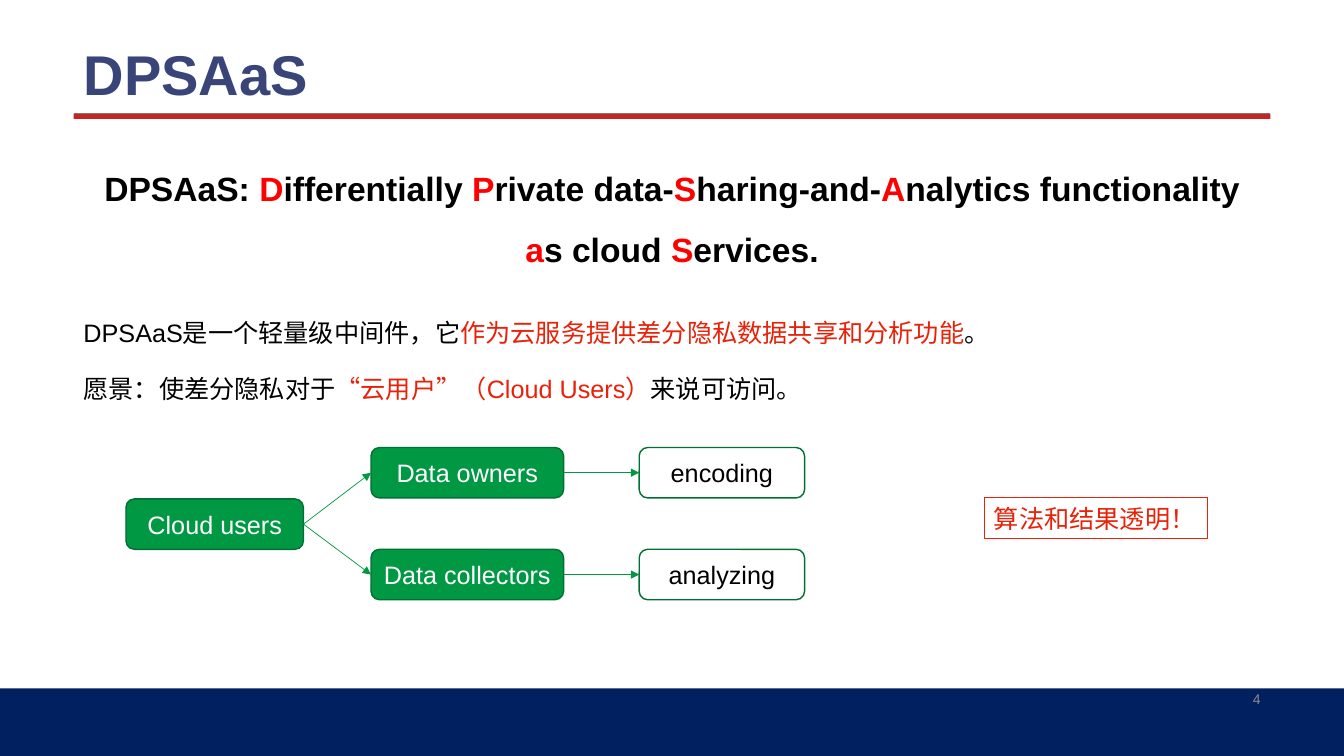
from lxml import etree
from pptx import Presentation
from pptx.dml.color import RGBColor
from pptx.enum.shapes import MSO_CONNECTOR, MSO_SHAPE
from pptx.enum.text import MSO_ANCHOR, PP_ALIGN
from pptx.oxml.ns import qn
from pptx.util import Inches, Pt

LEFT, CENTER, RIGHT = PP_ALIGN.LEFT, PP_ALIGN.CENTER, PP_ALIGN.RIGHT
MIDDLE, BOTTOM = MSO_ANCHOR.MIDDLE, MSO_ANCHOR.BOTTOM
RECT, ROUNDED = MSO_SHAPE.RECTANGLE, MSO_SHAPE.ROUNDED_RECTANGLE
STRAIGHT = MSO_CONNECTOR.STRAIGHT

NAVY = RGBColor(0x00, 0x20, 0x60)
RULE_RED = RGBColor(0xC4, 0x25, 0x1F)
TITLE_BLUE = RGBColor(0x39, 0x44, 0x79)
GREEN = RGBColor(0x01, 0x98, 0x44)
DARK_GREEN = RGBColor(0x01, 0x70, 0x32)
RED = RGBColor(0xFF, 0x00, 0x00)
ORANGE_RED = RGBColor(0xE8, 0x22, 0x09)
GRAY = RGBColor(0x80, 0x80, 0x80)
LIGHT_GRAY = RGBColor(0x8C, 0x8C, 0x8C)
BLACK = RGBColor(0x00, 0x00, 0x00)
WHITE = RGBColor(0xFF, 0xFF, 0xFF)

MARGIN, CONTENT_W = 0.73, 11.87


def write(s, parts, size, align=LEFT, anchor=None, spacing=None, bold=False, wrap=True):
    """Fill the shape's paragraph with (text, colour) runs."""
    tf = s.text_frame
    tf.word_wrap = wrap
    if anchor is not None:
        tf.vertical_anchor = anchor
    p = tf.paragraphs[0]
    p.alignment = align
    p.line_spacing = spacing
    for text, color in parts:
        r = p.add_run()
        r.text = text
        r.font.name = "Arial"
        r.font.size = Pt(size)
        r.font.bold = bold
        r.font.color.rgb = color


def add_line(x1, y1, x2, y2, color, width):
    line = slide.shapes.add_connector(STRAIGHT, Inches(x1), Inches(y1), Inches(x2), Inches(y2))
    line.line.color.rgb = color
    line.line.width = Pt(width)
    etree.SubElement(line._element.spPr, qn("a:effectLst"))
    return line


prs = Presentation()
prs.slide_width, prs.slide_height = Inches(13.33), Inches(7.5)
slide = prs.slides.add_slide(prs.slide_layouts[5])

# Title, rule and footer band
title = slide.shapes.title
title.left, title.top = Inches(MARGIN), Inches(0)
title.width, title.height = Inches(CONTENT_W), Inches(1.12)
write(title, [("DPSAaS", TITLE_BLUE)], 40, anchor=BOTTOM, spacing=0.9, bold=True)

add_line(MARGIN, 1.12, MARGIN + CONTENT_W, 1.12, GRAY, 0.25)
for x, y, w, h, color in [
    (0, 6.83, 13.33, 0.67, NAVY),
    (MARGIN, 1.13, CONTENT_W, 0.05, RULE_RED),
]:
    s = slide.shapes.add_shape(RECT, Inches(x), Inches(y), Inches(w), Inches(h))
    s.shadow.inherit = False
    s.fill.solid()
    s.fill.fore_color.rgb = color
    s.line.fill.background()

# Text blocks
heading = [
    ("DPSAaS: ", BLACK), ("D", RED), ("ifferentially ", BLACK), ("P", RED),
    ("rivate data-", BLACK), ("S", RED), ("haring-and-", BLACK), ("A", RED),
    ("nalytics functionality ", BLACK), ("a", RED), ("s cloud ", BLACK),
    ("S", RED), ("ervices.", BLACK),
]
summary = [
    ("DPSAaS是一个轻量级中间件，它", BLACK),
    ("作为云服务提供差分隐私数据共享和分析功能", ORANGE_RED),
    ("。", BLACK),
]
vision = [
    ("愿景：使差分隐私对于", BLACK),
    ("“云用户”（Cloud Users）", ORANGE_RED),
    ("来说可访问。", BLACK),
]
for x, y, w, h, parts, size, options in [
    (MARGIN, 1.42, CONTENT_W, 1.24, heading, 24, dict(align=CENTER, spacing=1.5, bold=True)),
    (MARGIN, 2.95, CONTENT_W, 0.5, summary, 18, dict(spacing=1.5)),
    (MARGIN, 3.65, 7.4, 0.4, vision, 18, dict(wrap=False)),
    (9.42, 6.82, 3.18, 0.23, [("4", LIGHT_GRAY)], 10, dict(align=RIGHT, anchor=MIDDLE)),
]:
    s = slide.shapes.add_textbox(Inches(x), Inches(y), Inches(w), Inches(h))
    write(s, parts, size, **options)

note = slide.shapes.add_textbox(Inches(9.76), Inches(4.94), Inches(2.22), Inches(0.4))
note.line.color.rgb = ORANGE_RED
note.line.width = Pt(0.75)
write(note, [("算法和结果透明！", ORANGE_RED)], 18, wrap=False)

# Flow diagram
nodes = {}
for name, x, y, w, filled in [
    ("Cloud users", 1.25, 4.95, 1.76, True),
    ("Data owners", 3.68, 4.44, 1.91, True),
    ("Data collectors", 3.68, 5.45, 1.91, True),
    ("encoding", 6.34, 4.44, 1.64, False),
    ("analyzing", 6.34, 5.45, 1.64, False),
]:
    s = slide.shapes.add_shape(ROUNDED, Inches(x), Inches(y), Inches(w), Inches(0.5))
    s.shadow.inherit = False
    if filled:
        s.fill.solid()
        s.fill.fore_color.rgb = GREEN
    else:
        s.fill.background()
    s.line.color.rgb = DARK_GREEN
    s.line.width = Pt(1)
    s.text_frame.margin_left = s.text_frame.margin_right = Inches(0.05)
    write(s, [(name, WHITE if filled else BLACK)], 18, align=CENTER, anchor=MIDDLE)
    nodes[name] = s

for start, end in [
    ("Cloud users", "Data owners"),
    ("Cloud users", "Data collectors"),
    ("Data owners", "encoding"),
    ("Data collectors", "analyzing"),
]:
    arrow = add_line(0, 0, 1, 1, GREEN, 0.5)
    arrow.begin_connect(nodes[start], 3)
    arrow.end_connect(nodes[end], 1)
    etree.SubElement(arrow.line._get_or_add_ln(), qn("a:tailEnd"), type="triangle")

prs.save("out.pptx")
